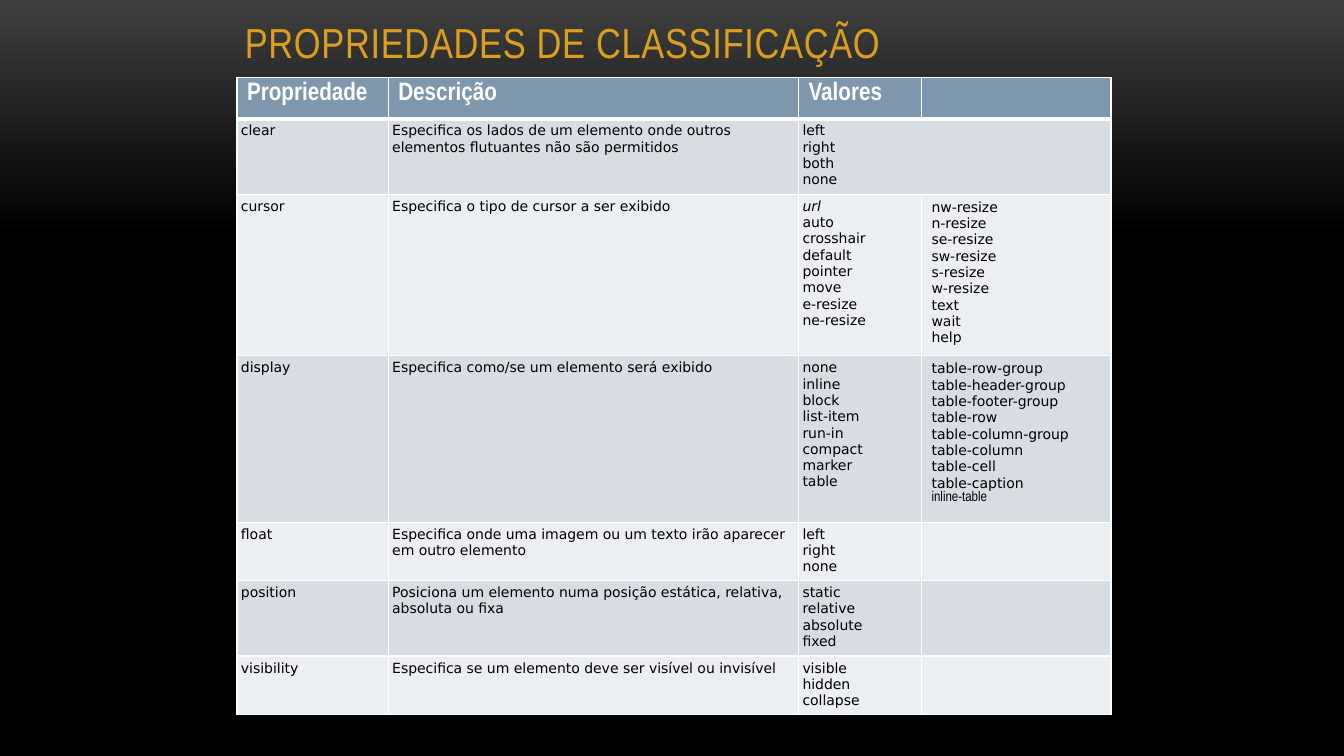
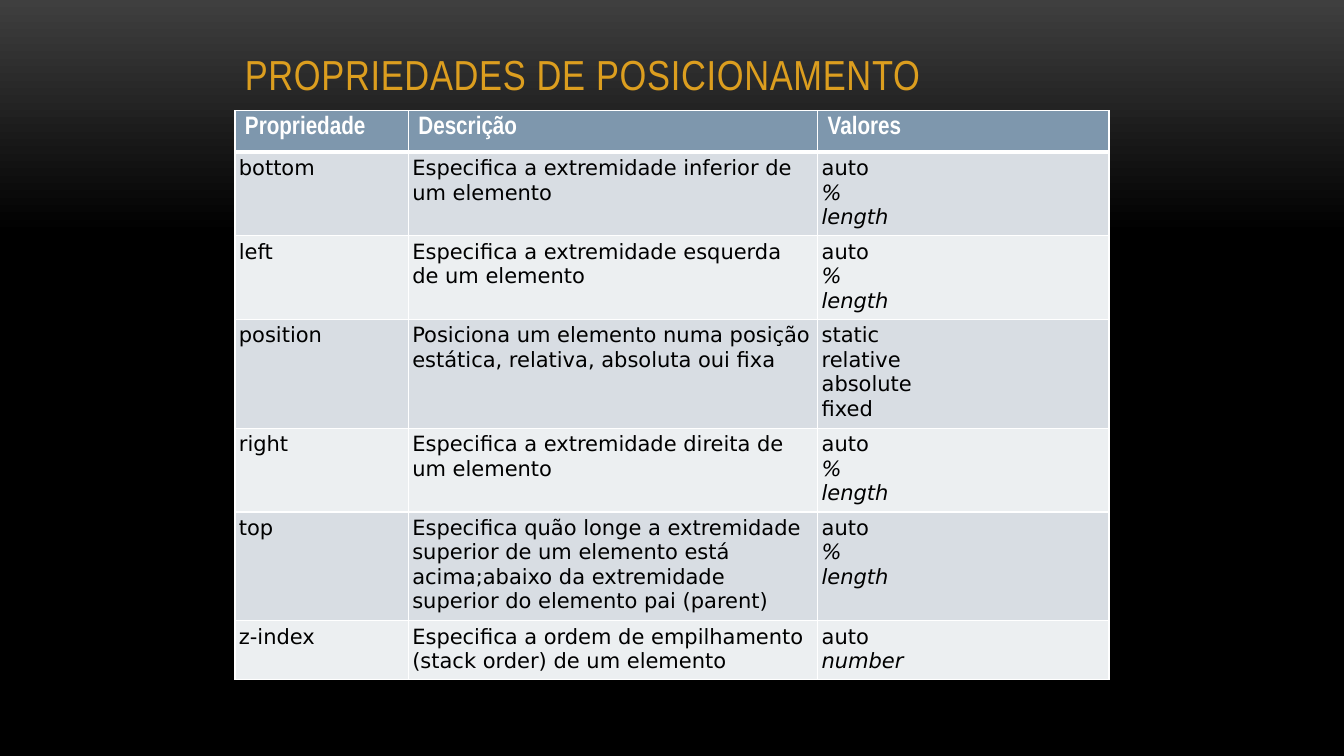
import dataclasses

import lxml.etree
import pptx
import pptx.dml.color
import pptx.enum.text
import pptx.oxml.ns
import pptx.util

Inches = pptx.util.Inches


@dataclasses.dataclass(frozen=True)
class Theme:
    """Colours, fonts and type sizes shared by both slides."""

    glow: str = "3F3F3F"
    night: str = "000000"
    gold: str = "DC9E1F"
    header: str = "7E97AD"
    bands: tuple = ("D8DDE3", "ECEFF1")
    white: str = "FFFFFF"
    ink: str = "000000"
    heading_font: str = "Arial Narrow"
    body_font: str = "DejaVu Sans"
    title_size: float = 30
    header_size: float = 18
    thin: float = 1
    thick: float = 3


THEME = Theme()
PLACEHOLDER_VALUES = {"url", "%", "length", "number"}
HEADINGS = ("Propriedade", "Descrição", "Valores")

CLASSIFICATION = (
    ("clear", "Especifica os lados de um elemento onde outros elementos flutuantes não são permitidos",
     "left right both none", None),
    ("cursor", "Especifica o tipo de cursor a ser exibido",
     "url auto crosshair default pointer move e-resize ne-resize",
     "nw-resize n-resize se-resize sw-resize s-resize w-resize text wait help"),
    ("display", "Especifica como/se um elemento será exibido",
     "none inline block list-item run-in compact marker table",
     "table-row-group table-header-group table-footer-group table-row "
     "table-column-group table-column table-cell table-caption inline-table"),
    ("float", "Especifica onde uma imagem ou um texto irão aparecer em outro elemento",
     "left right none", ""),
    ("position", "Posiciona um elemento numa posição estática, relativa, absoluta ou fixa",
     "static relative absolute fixed", ""),
    ("visibility", "Especifica se um elemento deve ser visível ou invisível",
     "visible hidden collapse", ""),
)

POSITIONING = (
    ("bottom", "Especifica a extremidade inferior de um elemento", "auto % length"),
    ("left", "Especifica a extremidade esquerda de um elemento", "auto % length"),
    ("position", "Posiciona um elemento numa posição estática, relativa, absoluta oui fixa",
     "static relative absolute fixed"),
    ("right", "Especifica a extremidade direita de um elemento", "auto % length"),
    ("top", "Especifica quão longe a extremidade superior de um elemento está acima;abaixo "
     "da extremidade superior do elemento pai (parent)", "auto % length"),
    ("z-index", "Especifica a ordem de empilhamento (stack order) de um elemento", "auto number"),
)


def rgb(value):
    """Return the colour object for a hexadecimal value."""
    return pptx.dml.color.RGBColor.from_string(value)


def style(span, size, font, color, bold=False, italic=False):
    """Format one run."""
    span.font.size = pptx.util.Pt(size)
    span.font.name = font
    span.font.color.rgb = rgb(color)
    span.font.bold = bold
    span.font.italic = italic


def add_page(deck):
    """Add a blank slide with the dark gradient background."""
    page = deck.slides.add_slide(deck.slide_layouts[6])
    fill = page.background.fill
    fill.gradient()
    fill.gradient_angle = 270
    for stop, color, position in zip(fill.gradient_stops, (THEME.glow, THEME.night), (0, 0.31)):
        stop.color.rgb = rgb(color)
        stop.position = position
    return page


def add_title(page, text, left, top, width, height):
    """Place the gold title at the bottom of its box."""
    box = page.shapes.add_textbox(Inches(left), Inches(top), Inches(width), Inches(height))
    box.text_frame.word_wrap = True
    box.text_frame.vertical_anchor = pptx.enum.text.MSO_ANCHOR.BOTTOM
    box.text_frame.text = text
    span = box.text_frame.paragraphs[0].runs[0]
    style(span, THEME.title_size, THEME.heading_font, THEME.gold)
    span.font._element.set("spc", "50")


def add_borders(cell, row):
    """Draw white cell borders, with a heavy rule under the header row."""
    properties = cell._tc.get_or_add_tcPr()
    heavy = {(0, "B"), (1, "T")}
    for side in "LRTB":
        weight = THEME.thick if (row, side) in heavy else THEME.thin
        line = lxml.etree.SubElement(properties, pptx.oxml.ns.qn(f"a:ln{side}"), w=str(pptx.util.Pt(weight)))
        solid = lxml.etree.SubElement(line, pptx.oxml.ns.qn("a:solidFill"))
        lxml.etree.SubElement(solid, pptx.oxml.ns.qn("a:srgbClr"), val=THEME.white)


def fill_cell(cell, text, row, column, size):
    """Write and format one table cell according to its row and column."""
    add_borders(cell, row)
    cell.fill.solid()
    cell.fill.fore_color.rgb = rgb(THEME.bands[(row - 1) % 2] if row else THEME.header)
    if row and column < 3:
        cell.margin_left = cell.margin_right = cell.margin_top = cell.margin_bottom = Inches(0.04)
    if not text:
        return
    cell.text_frame.text = "\n".join(text.split()) if column > 1 else text
    for para in cell.text_frame.paragraphs:
        for span in para.runs:
            if row == 0:
                style(span, THEME.header_size, THEME.heading_font, THEME.white, bold=True)
            else:
                font = THEME.heading_font if span.text == "inline-table" else THEME.body_font
                style(span, size, font, THEME.ink, italic=span.text in PLACEHOLDER_VALUES)


def add_property_table(page, records, left, top, widths, heights, size):
    """Place a property table; a None value joins its cell to the one before."""
    header = HEADINGS + ("",) * (len(widths) - len(HEADINGS))
    rows = (header,) + records
    table = page.shapes.add_table(len(rows), len(widths), Inches(left), Inches(top),
                                  Inches(sum(widths)), Inches(sum(heights))).table
    table.horz_banding = False
    for column, width in zip(table.columns, widths):
        column.width = Inches(width)
    for line, height in zip(table.rows, heights):
        line.height = Inches(height)
    for row, texts in enumerate(rows):
        for column, text in enumerate(texts):
            cell = table.cell(row, column)
            fill_cell(cell, text, row, column, size)
            if text is None:
                table.cell(row, column - 1).merge(cell)


def build_classification(deck):
    """Build the slide on classification properties."""
    page = add_page(deck)
    add_title(page, "PROPRIEDADES DE CLASSIFICAÇÃO", 2.33, 0, 8.67, 0.71)
    add_property_table(page, CLASSIFICATION, 2.35, 0.77, (1.5, 4.07, 1.22, 1.88),
                       (0.41, 0.73, 1.56, 1.65, 0.57, 0.73, 0.57), 10)


def build_positioning(deck):
    """Build the slide on positioning properties."""
    page = add_page(deck)
    add_title(page, "PROPRIEDADES DE POSICIONAMENTO", 2.33, 0.3, 8.67, 0.73)
    add_property_table(page, POSITIONING, 2.33, 1.1, (1.72, 4.06, 2.89),
                       (0.41, 0.81, 0.81, 1.05, 0.81, 1.05, 0.57), 15)


def main():
    """Build and save the deck."""
    deck = pptx.Presentation()
    deck.slide_width, deck.slide_height = Inches(13.33), Inches(7.5)
    build_classification(deck)
    build_positioning(deck)
    deck.save("out.pptx")


if __name__ == "__main__":
    main()
